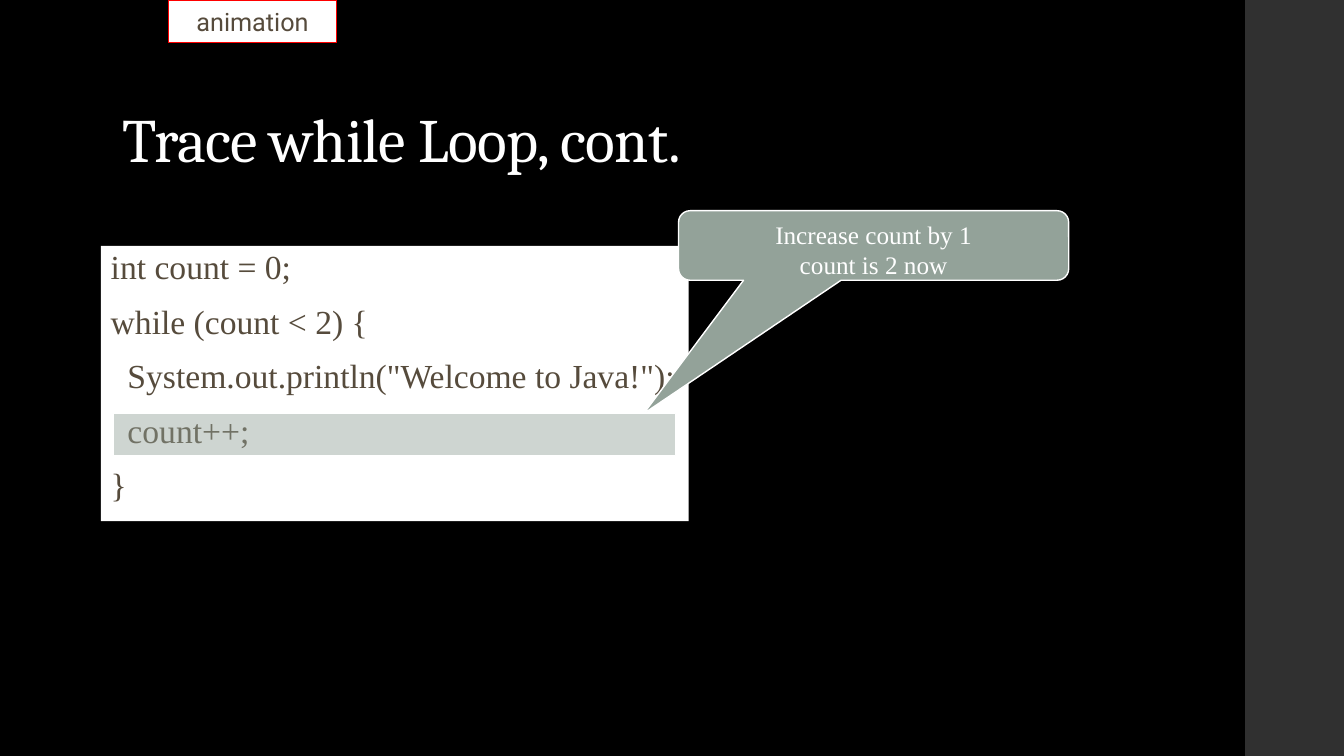
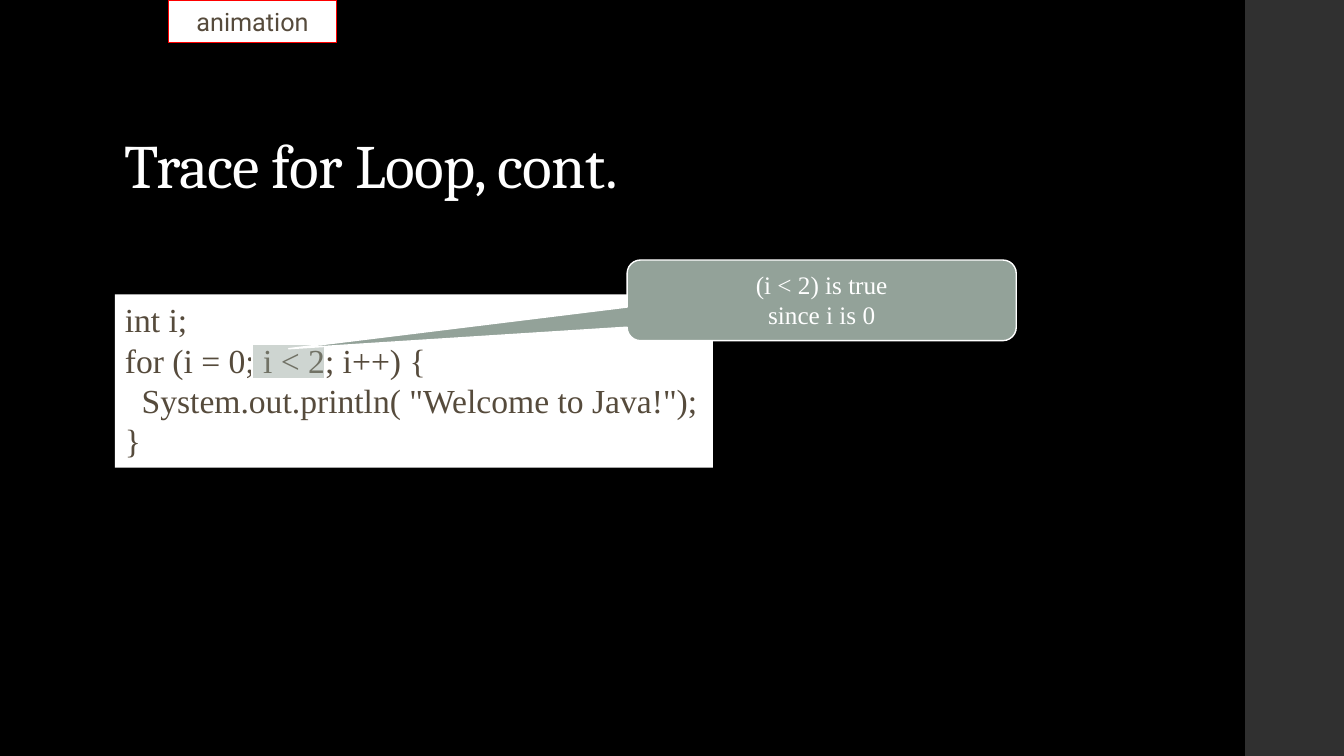
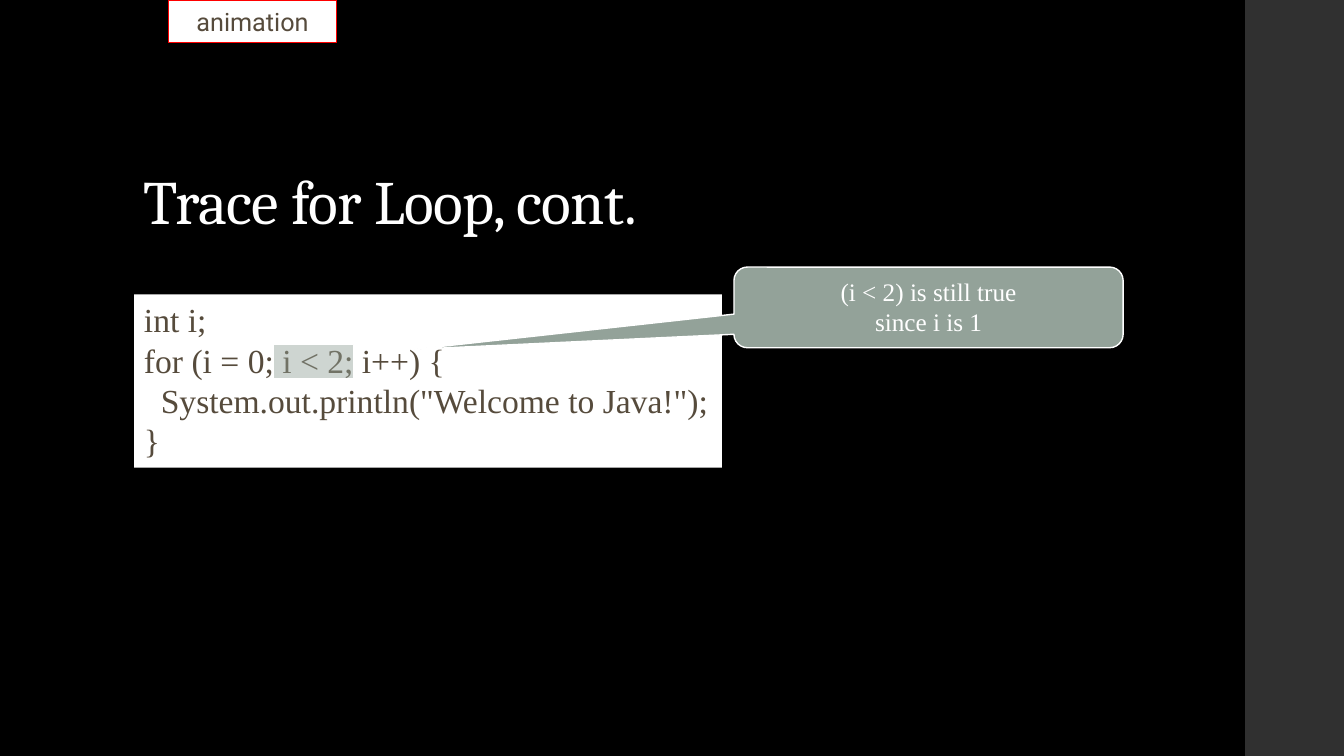
import dataclasses

import lxml.etree
import pptx
import pptx.dml.color
import pptx.enum.shapes
import pptx.enum.text
import pptx.oxml.ns
import pptx.util

PX = 9144  # EMU per px, 100 px to the inch
SLIDE_W, SLIDE_H = 1333, 750
BAND_X = 1235

SHAPE = pptx.enum.shapes.MSO_SHAPE
ALIGN = pptx.enum.text.PP_ALIGN
ANCHOR = pptx.enum.text.MSO_ANCHOR


@dataclasses.dataclass(frozen=True)
class Theme:
    """Colours, fonts and type sizes of the deck."""
    background: str = "000000"
    band: str = "303030"
    white: str = "FFFFFF"
    ink: str = "564B3C"
    accent: str = "93A299"
    alert: str = "FF0000"
    title_font: str = "Cambria"
    tag_font: str = "Roboto"
    code_font: str = "Times New Roman"
    title_size: int = 44
    code_size: int = 24
    note_size: int = 18


def rgb(value):
    return pptx.dml.color.RGBColor.from_string(value)


def write(sp, text, *, font, size, color, align=ALIGN.LEFT, anchor=ANCHOR.TOP,
          wrap=True, line=1.0, before=0, tracking=0):
    """Fill a shape with one paragraph per line of text."""
    tf = sp.text_frame
    tf.word_wrap = wrap
    tf.vertical_anchor = anchor
    for i, words in enumerate(text.split("\n")):
        p = tf.add_paragraph() if i else tf.paragraphs[0]
        p.alignment = align
        p.line_spacing = line
        p.space_before = pptx.util.Pt(before if i else 0)
        r = p.add_run()
        r.text = words
        r.font.name = font
        r.font.size = pptx.util.Pt(size)
        r.font.color.rgb = rgb(color)
        if tracking:
            r.font._element.set("spc", str(tracking))


class Deck:
    def __init__(self, theme):
        self.theme = theme
        self.prs = pptx.Presentation()
        self.prs.slide_width = SLIDE_W * PX
        self.prs.slide_height = SLIDE_H * PX
        fill = self.prs.slide_master.background.fill
        fill.solid()
        fill.fore_color.rgb = rgb(theme.background)
        self.s = None

    def shape(self, box, fill, line=None, kind=SHAPE.RECTANGLE):
        sp = self.s.shapes.add_shape(kind, *(v * PX for v in box))
        sp.shadow.inherit = False
        sp.fill.solid()
        sp.fill.fore_color.rgb = rgb(fill)
        if line:
            sp.line.color.rgb = rgb(line)
            sp.line.width = pptx.util.Pt(1)
        else:
            sp.line.fill.background()
        return sp

    def slide(self, title, x, y):
        """Start a slide with its side band and title."""
        t = self.theme
        self.s = self.prs.slides.add_slide(self.prs.slide_layouts[6])
        self.shape((BAND_X, 0, SLIDE_W - BAND_X, SLIDE_H), t.band)
        sp = self.s.shapes.add_textbox(x * PX, y * PX, 850 * PX, 83 * PX)
        write(sp, title, font=t.title_font, size=t.title_size, color=t.white,
              anchor=ANCHOR.BOTTOM, line=0.9, tracking=-50)

    def code(self, text, box, **spacing):
        t = self.theme
        write(self.shape(box, t.white), text, font=t.code_font,
              size=t.code_size, color=t.ink, **spacing)

    def highlight(self, box):
        """Lay a translucent bar over the current code."""
        sp = self.shape(box, self.theme.accent, self.theme.white)
        qn = pptx.oxml.ns.qn
        color = sp._element.spPr.find(qn("a:solidFill"))[0]
        lxml.etree.SubElement(color, qn("a:alpha"), val="45000")

    def callout(self, text, box, tip):
        """Speech box; tip is the pointer offset from its centre, in box sizes."""
        t = self.theme
        sp = self.shape(box, t.accent, t.white, SHAPE.ROUNDED_RECTANGULAR_CALLOUT)
        sp.adjustments[0], sp.adjustments[1] = tip
        write(sp, text, font=t.code_font, size=t.note_size, color=t.white,
              align=ALIGN.CENTER)

    def tag(self, text):
        t = self.theme
        write(self.shape((167, 0, 167, 42), t.white, t.alert), text,
              font=t.tag_font, size=t.note_size, color=t.ink,
              align=ALIGN.CENTER, anchor=ANCHOR.MIDDLE, wrap=False)


def main():
    deck = Deck(Theme())

    # while loop: the counter goes up
    deck.slide("Trace while Loop, cont.", 112, 96)
    deck.code('int count = 0;\nwhile (count < 2) {\n'
              '  System.out.println("Welcome to Java!");\n  count++;\n}',
              (100, 244, 583, 273), line=0.9, before=13)
    deck.callout("Increase count by 1\ncount is 2 now",
                 (673, 209, 387, 69), (-0.59, 2.42))
    deck.highlight((112, 410, 558, 42))
    deck.tag("animation")

    # for loop: first test of the condition
    deck.slide("Trace for Loop, cont.", 114, 122)
    deck.code('int i;\nfor (i = 0; i < 2; i++) {\n'
              '  System.out.println( "Welcome to Java!");\n}',
              (114, 292, 593, 172))
    deck.highlight((250, 342, 72, 34))
    deck.callout("(i < 2) is true\nsince i is 0",
                 (622, 258, 386, 80), (-1.37, 0.6))
    deck.tag("animation")

    # for loop: second test of the condition
    deck.slide("Trace for Loop, cont.", 133, 158)
    deck.code('int i;\nfor (i = 0; i < 2; i++) {\n'
              '  System.out.println("Welcome to Java!");\n}',
              (133, 292, 583, 172))
    deck.highlight((271, 342, 80, 34))
    deck.callout("(i < 2) is still true\nsince i is 1",
                 (728, 265, 386, 80), (-1.32, 0.52))
    deck.tag("animation")

    deck.prs.save("out.pptx")


if __name__ == "__main__":
    main()
